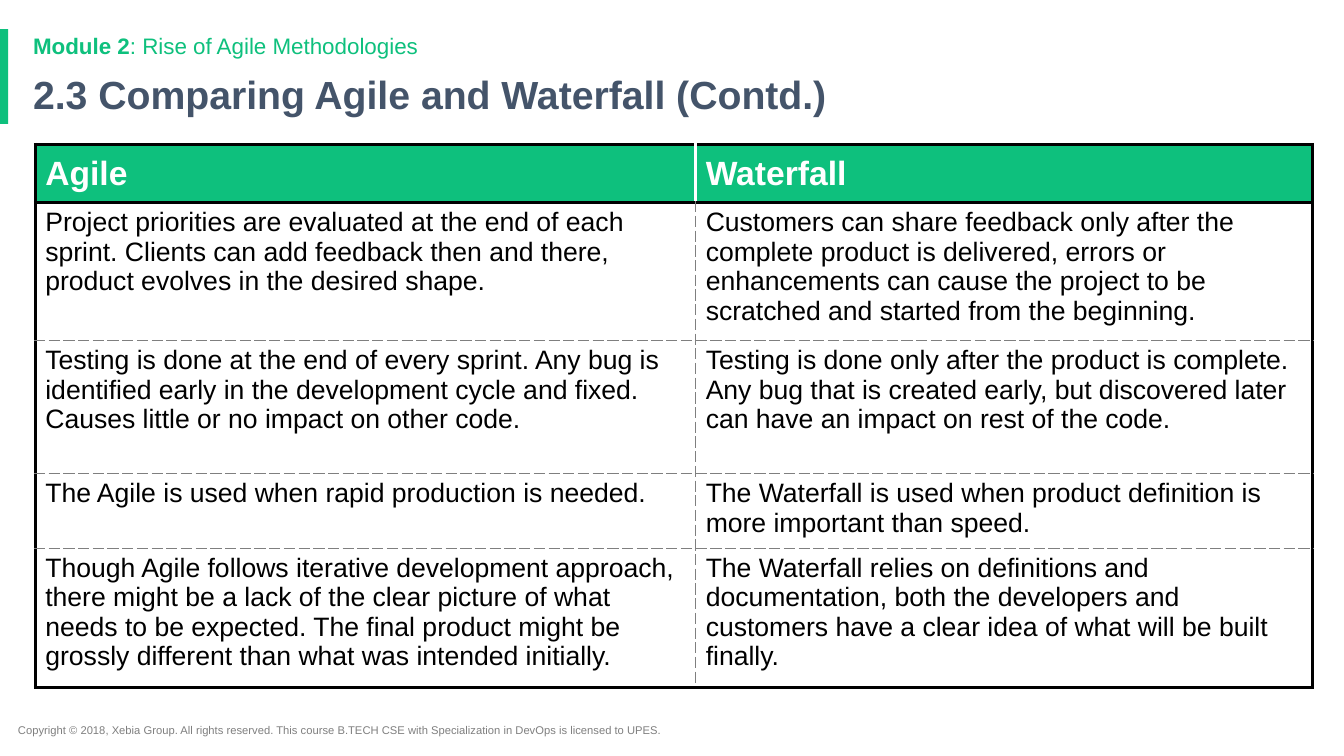
from lxml.etree import SubElement
from pptx import Presentation
from pptx.dml.color import RGBColor
from pptx.enum.shapes import MSO_SHAPE
from pptx.enum.text import MSO_ANCHOR
from pptx.oxml.ns import qn
from pptx.util import Inches, Pt

GREEN, SLATE, GRAY, BLACK, WHITE = "0EC07D", "44546A", "7F7F7F", "000000", "FFFFFF"
FONT = "Arial"

COLUMN_WIDTHS = [6.55, 6.12]
ROW_HEIGHTS = [0.58, 1.37, 1.32, 0.74, 1.38]
COMPARISON = [
    ("Agile", "Waterfall"),
    ("Project priorities are evaluated at the end of each sprint. Clients can add feedback "
     "then and there, product evolves in the desired shape.",
     "Customers can share feedback only after the complete product is delivered, errors or "
     "enhancements can cause the project to be scratched and started from the beginning."),
    ("Testing is done at the end of every sprint. Any bug is identified early in the "
     "development cycle and fixed. Causes little or no impact on other code.",
     "Testing is done only after the product is complete. Any bug that is created early, but "
     "discovered later can have an impact on rest of the code."),
    ("The Agile is used when rapid production is needed.",
     "The Waterfall is used when product definition is more important than speed."),
    ("Though Agile follows iterative development approach, there might be a lack of the clear "
     "picture of what needs to be expected. The final product might be grossly different than "
     "what was intended initially.",
     "The Waterfall relies on definitions and documentation, both the developers and customers "
     "have a clear idea of what will be built finally."),
]

OUTLINE = (BLACK, 2.25, "solid")
HEADER_DIVIDER = (WHITE, 2.25, "solid")
BODY_DIVIDER = (GRAY, 1, "dash")


def color(hex_string):
    return RGBColor.from_string(hex_string)


def style_font(font, size, hex_string, bold=False):
    font.name = FONT
    font.size = Pt(size)
    font.bold = bold
    font.color.rgb = color(hex_string)


def add_text(slide, box, runs, size, hex_string, line_spacing=None):
    """Add a one-paragraph text box; runs are (text, bold) pairs."""
    text_frame = slide.shapes.add_textbox(*map(Inches, box)).text_frame
    text_frame.word_wrap = True
    text_frame.vertical_anchor = MSO_ANCHOR.MIDDLE
    paragraph = text_frame.paragraphs[0]
    paragraph.line_spacing = line_spacing
    for text, bold in runs:
        run = paragraph.add_run()
        run.text = text
        style_font(run.font, size, hex_string, bold)


def add_heading(slide, left, top):
    bar = slide.shapes.add_shape(MSO_SHAPE.RECTANGLE, Inches(left), Inches(top),
                                 Inches(0.08), Inches(0.94))
    bar.shadow.inherit = False
    bar.fill.solid()
    bar.fill.fore_color.rgb = color(GREEN)
    bar.line.fill.background()
    add_text(slide, (left + 0.23, top + 0.01, 11.5, 0.33),
             [("Module 2", True), (": Rise of Agile Methodologies", False)], 16, GREEN, 0.9)
    add_text(slide, (left + 0.23, top + 0.4, 13.1, 0.54),
             [("2.3 Comparing Agile and Waterfall (Contd.)", True)], 28, SLATE, 0.9)


def set_borders(cell, borders):
    """Draw cell borders given as left, right, top, bottom."""
    properties = cell._tc.get_or_add_tcPr()
    for index, (side, border) in enumerate(zip("LRTB", borders)):
        hex_string, width, dash = border
        line = SubElement(properties, qn(f"a:ln{side}"), w=str(Pt(width)))
        fill = SubElement(line, qn("a:solidFill"))
        SubElement(fill, qn("a:srgbClr"), val=hex_string)
        SubElement(line, qn("a:prstDash"), val=dash)
        properties.insert(index, line)


def cell_borders(row, column):
    last_row, last_column = len(ROW_HEIGHTS) - 1, len(COLUMN_WIDTHS) - 1
    divider = HEADER_DIVIDER if row == 0 else BODY_DIVIDER
    return (OUTLINE if column == 0 else divider,
            OUTLINE if column == last_column else divider,
            OUTLINE if row <= 1 else BODY_DIVIDER,
            OUTLINE if row in (0, last_row) else BODY_DIVIDER)


def add_comparison_table(slide, left, top):
    frame = slide.shapes.add_table(len(ROW_HEIGHTS), len(COLUMN_WIDTHS), Inches(left), Inches(top),
                                   Inches(sum(COLUMN_WIDTHS)), Inches(sum(ROW_HEIGHTS)))
    table = frame.table
    table.horz_banding = False
    for column, width in zip(table.columns, COLUMN_WIDTHS):
        column.width = Inches(width)
    for row, height in zip(table.rows, ROW_HEIGHTS):
        row.height = Inches(height)
    for row, texts in enumerate(COMPARISON):
        for column, text in enumerate(texts):
            cell = table.cell(row, column)
            cell.text_frame.text = text
            font = cell.text_frame.paragraphs[0].runs[0].font
            if row == 0:
                cell.vertical_anchor = MSO_ANCHOR.MIDDLE
                cell.fill.solid()
                cell.fill.fore_color.rgb = color(GREEN)
                style_font(font, 24, WHITE, bold=True)
            else:
                cell.fill.background()
                style_font(font, 19, BLACK)
            set_borders(cell, cell_borders(row, column))


def add_footer(slide, left, top):
    add_text(slide, (left, top, 7.13, 0.24),
             [("Copyright © 2018, Xebia Group. All rights reserved. This course B.TECH CSE with "
               "Specialization in DevOps is licensed to UPES.", False)], 8, GRAY)


def main():
    presentation = Presentation()
    presentation.slide_width = Inches(13.33)
    presentation.slide_height = Inches(7.5)
    slide = presentation.slides.add_slide(presentation.slide_layouts[6])
    add_heading(slide, 0, 0.29)
    add_comparison_table(slide, 0.35, 1.43)
    add_footer(slide, 0.08, 7.12)
    presentation.save("out.pptx")


if __name__ == "__main__":
    main()
